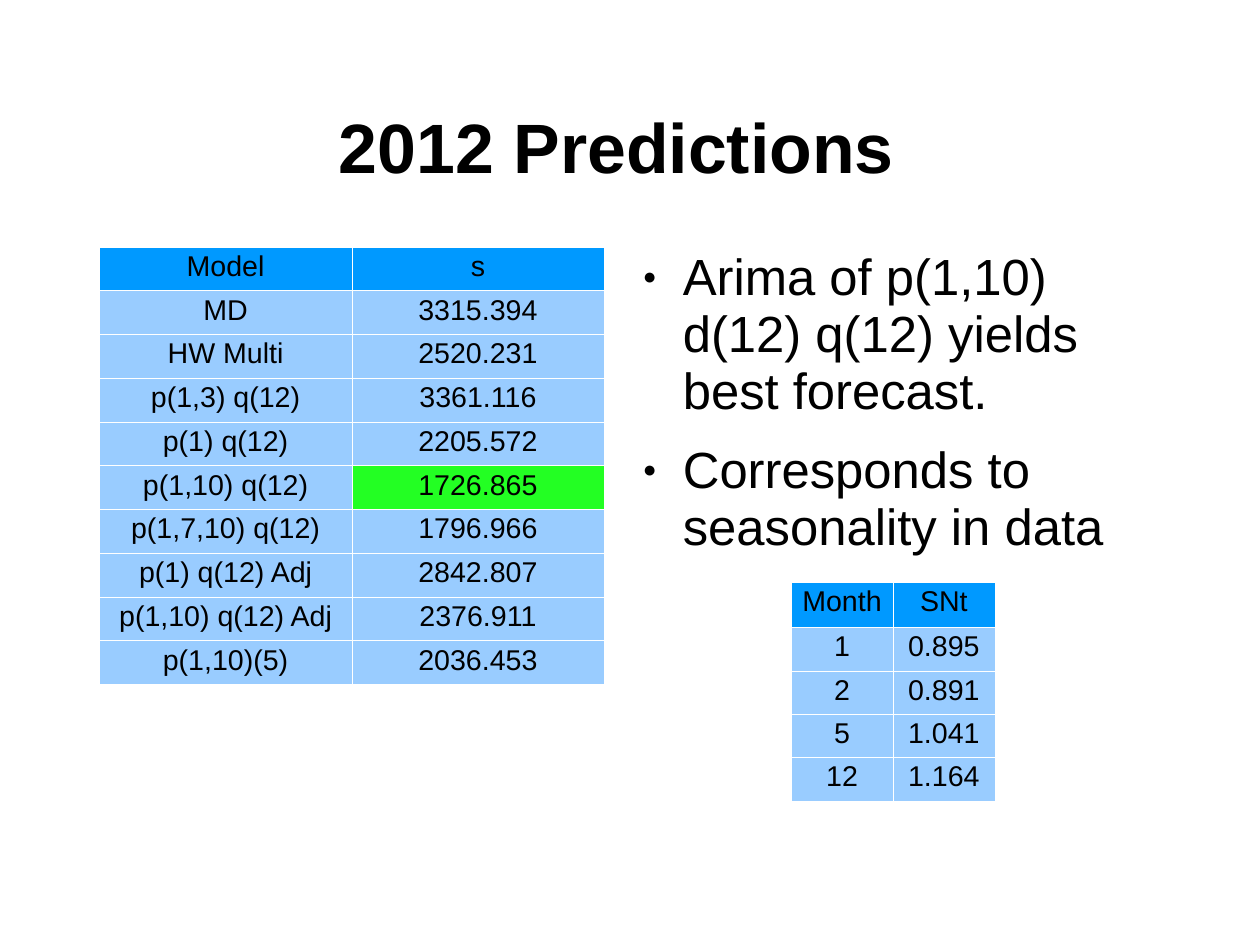
from dataclasses import dataclass

from lxml import etree
from pptx import Presentation
from pptx.dml.color import RGBColor
from pptx.enum.text import MSO_ANCHOR, PP_ALIGN
from pptx.oxml.ns import qn
from pptx.util import Inches, Pt

CENTER = PP_ALIGN.CENTER
LEFT = PP_ALIGN.LEFT
TOP = MSO_ANCHOR.TOP
MIDDLE = MSO_ANCHOR.MIDDLE

SLIDE_W = Pt(793.75)
SLIDE_H = Pt(595.25)


@dataclass(frozen=True)
class Theme:
    font: str = "Arial"
    title_size: float = 44
    body_size: float = 32
    table_size: float = 18
    line_spacing: float = 0.93
    bullet_gap: float = 14.3
    text: str = "000000"
    background: str = "FFFFFF"
    border: str = "FFFFFF"
    border_width: float = 0.06
    header: str = "0099FF"
    cell: str = "99CCFF"
    best: str = "23FF23"


THEME = Theme()

MODELS = [
    ("Model", "s"),
    ("MD", "3315.394"),
    ("HW Multi", "2520.231"),
    ("p(1,3) q(12)", "3361.116"),
    ("p(1) q(12)", "2205.572"),
    ("p(1,10) q(12)", "1726.865"),
    ("p(1,7,10) q(12)", "1796.966"),
    ("p(1) q(12) Adj", "2842.807"),
    ("p(1,10) q(12) Adj", "2376.911"),
    ("p(1,10)(5)", "2036.453"),
]
BEST_SCORE = "1726.865"

SEASONALITY = [
    ("Month", "SNt"),
    ("1", "0.895"),
    ("2", "0.891"),
    ("5", "1.041"),
    ("12", "1.164"),
]

FINDINGS = [
    "Arima of p(1,10) d(12) q(12) yields best forecast.",
    "Corresponds to seasonality in data",
]


def across(percent):
    return round(SLIDE_W * percent / 100)


def down(percent):
    return round(SLIDE_H * percent / 100)


def style_paragraph(p, size, align, bold=False):
    p.alignment = align
    p.line_spacing = THEME.line_spacing
    for r in p.runs:
        r.font.name = THEME.font
        r.font.size = Pt(size)
        r.font.bold = bold
        r.font.color.rgb = RGBColor.from_string(THEME.text)


def add_bullet(p):
    pPr = p._p.get_or_add_pPr()
    pPr.set("marL", str(Inches(0.47)))
    pPr.set("indent", str(-Inches(0.35)))
    color = etree.SubElement(pPr, qn("a:buClr"))
    etree.SubElement(color, qn("a:srgbClr"), val=THEME.text)
    etree.SubElement(pPr, qn("a:buSzPct"), val="45000")
    etree.SubElement(pPr, qn("a:buFont"), typeface=THEME.font)
    etree.SubElement(pPr, qn("a:buChar"), char="●")


def add_text_box(s, left, top, width, height, text, inset, anchor):
    sp = s.shapes.add_textbox(across(left), down(top), across(width), down(height))
    tf = sp.text_frame
    tf.word_wrap = True
    tf.vertical_anchor = anchor
    tf.margin_left = tf.margin_right = tf.margin_bottom = 0
    tf.margin_top = Inches(inset)
    tf.text = text
    return tf


def add_title(s, text):
    tf = add_text_box(s, 4.99, 7.32, 87.93, 16.69, text, 0.04, MIDDLE)
    style_paragraph(tf.paragraphs[0], THEME.title_size, CENTER, bold=True)


def add_findings(s, findings):
    tf = add_text_box(s, 49.93, 26.15, 40.11, 52.36, "\n".join(findings), 0.03, TOP)
    for p in tf.paragraphs:
        add_bullet(p)
        style_paragraph(p, THEME.body_size, LEFT)
        p.space_after = Pt(THEME.bullet_gap)


def add_borders(cell):
    tcPr = cell._tc.get_or_add_tcPr()
    for side in ("a:lnL", "a:lnR", "a:lnT", "a:lnB"):
        ln = etree.SubElement(tcPr, qn(side), w=str(Pt(THEME.border_width)))
        fill = etree.SubElement(ln, qn("a:solidFill"))
        etree.SubElement(fill, qn("a:srgbClr"), val=THEME.border)


def style_cell(cell, text, color):
    cell.margin_left = cell.margin_right = Inches(0.09)
    cell.margin_top = cell.margin_bottom = Inches(0.05)
    cell.text = text
    style_paragraph(cell.text_frame.paragraphs[0], THEME.table_size, CENTER)
    add_borders(cell)
    cell.fill.solid()
    cell.fill.fore_color.rgb = RGBColor.from_string(color)


def add_data_table(s, left, top, col_width, header_height, row_height, rows, best=None):
    heights = [header_height] + [row_height] * (len(rows) - 1)
    columns = len(rows[0])
    frame = s.shapes.add_table(
        len(rows), columns, across(left), down(top),
        across(col_width * columns), down(sum(heights)),
    )
    table = frame.table
    for column in table.columns:
        column.width = across(col_width)
    for i, (height, values) in enumerate(zip(heights, rows)):
        table.rows[i].height = down(height)
        for j, value in enumerate(values):
            color = THEME.header if i == 0 else THEME.cell
            style_cell(table.cell(i, j), value, THEME.best if value == best else color)


def main():
    prs = Presentation()
    prs.slide_width = SLIDE_W
    prs.slide_height = SLIDE_H
    s = prs.slides.add_slide(prs.slide_layouts[6])
    s.background.fill.solid()
    s.background.fill.fore_color.rgb = RGBColor.from_string(THEME.background)

    add_title(s, "2012 Predictions")
    add_data_table(s, 7.89, 26.12, 20.03, 4.63, 4.63, MODELS, BEST_SCORE)
    add_findings(s, FINDINGS)
    add_data_table(s, 62.79, 61.55, 8.08, 4.82, 4.6, SEASONALITY)

    prs.save("out.pptx")


if __name__ == "__main__":
    main()
